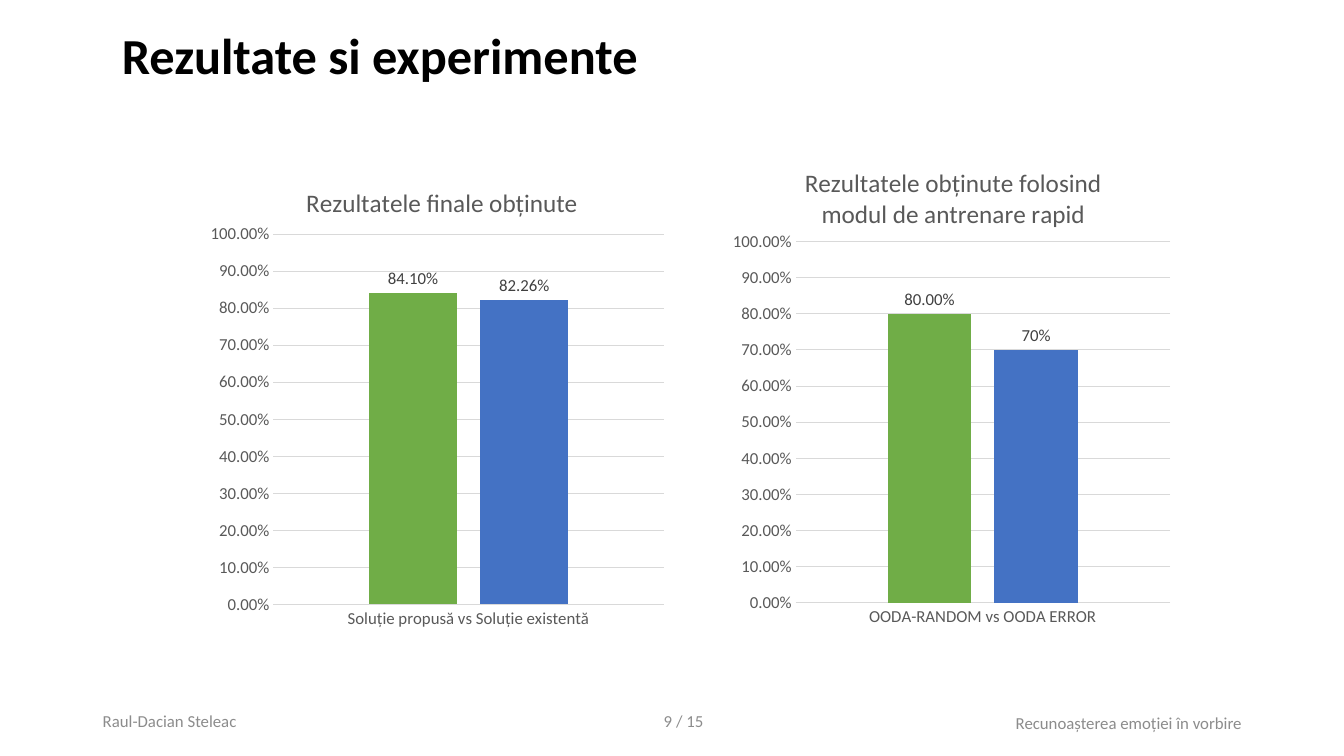
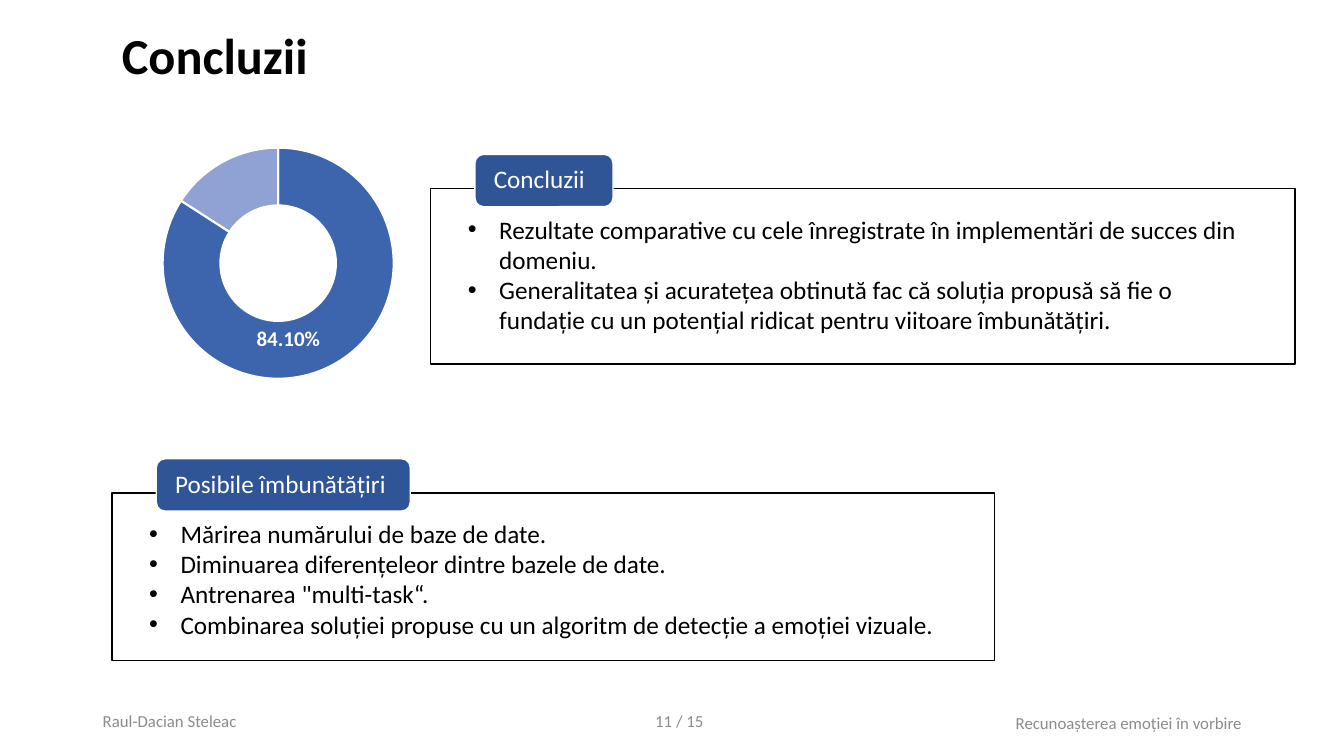
from pptx import Presentation, util as u
from pptx.chart.data import CategoryChartData
from pptx.dml.color import RGBColor
from pptx.enum import chart as ch, shapes, text
from pptx.oxml import parse_xml
from pptx.oxml.ns import nsdecls, qn

FONT = "Calibri"
BLACK, WHITE, GREY, NAVY = "000000", "FFFFFF", "8C8C8C", "2F5597"
AXIS, GRID, LABEL = "595959", "D9D9D9", "404040"
GREEN, BLUE = "70AD47", "4472C4"
LEFT, RIGHT = text.PP_ALIGN.LEFT, text.PP_ALIGN.RIGHT
TOP, MIDDLE = text.MSO_ANCHOR.TOP, text.MSO_ANCHOR.MIDDLE

TITLE_AT = (2.82, 0.61, 14.12, 1.73)
TITLE_FORMAT = {"size": 36, "bold": True}
FOOTER_FORMAT = {"size": 12, "color": GREY}
PAGES = 15
FOOTERS = [
    ("Raul-Dacian Steleac", (2.34, 17.65, 7.62, 1.02), LEFT, MIDDLE),
    ("Recunoașterea emoției în vorbire", (20.12, 17.7, 11.43, 1.02), RIGHT, MIDDLE),
    ("{page}", (16.05, 17.65, 1.14, 1.02), RIGHT, MIDDLE),
    ("/ {pages}", (16.79, 17.78, 1.47, 0.76), LEFT, TOP),
]

BAR_CHARTS = [
    {"title": "Rezultatele finale obținute",
     "category": "Soluție propusă vs Soluție existentă",
     "at": (5.11, 3.96, 11.86, 12.12),
     "title_at": {"x": 0.21, "y": 0.05},
     "plot_at": {"x": 0.15, "y": 0.16, "w": 0.83, "h": 0.77},
     "series": [(0.841, GREEN, "0.00%"), (0.8226, BLUE, "0.00%")]},
    {"title": "Rezultatele obținute folosind modul de antrenare rapid",
     "category": "OODA-RANDOM vs OODA ERROR",
     "at": (18.21, 3.43, 11.51, 12.65),
     "title_at": {"x": 0.17, "y": 0.05},
     "plot_at": {"x": 0.16, "y": 0.21, "w": 0.82, "h": 0.72},
     "series": [(0.8, GREEN, "0.00%"), (0.7, BLUE, "0%")]},
]

RING = {"at": (3.38, 3.38, 7.19, 6.78),
        "plot_at": {"x": 0.1, "y": 0.05, "w": 0.81, "h": 0.86},
        "values": (84.1, 15.9), "colors": ("3C65AE", "90A2D3")}

PANELS = [
    ("Concluzii", 3.48, (10.85, 4.75, 21.79, 4.42), [
        "Rezultate comparative cu cele înregistrate în implementări de succes din domeniu.",
        "Generalitatea și acuratețea obtinută fac că soluția propusă să fie o fundație "
        "cu un potențial ridicat pentru viitoare îmbunătățiri."]),
    ("Posibile îmbunătățiri", 6.4, (2.82, 12.42, 22.25, 4.22), [
        "Mărirea numărului de baze de date.",
        "Diminuarea diferențeleor dintre bazele de date.",
        "Antrenarea \"multi-task“.",
        "Combinarea soluției propuse cu un algoritm de detecție a emoției vizuale."]),
]
TAB_DX, TAB_DY, TAB_HEIGHT = 1.12, -0.86, 1.32
BULLET_INDENT = 0.79


def rgb(value):
    """Turn a hex string into a colour."""
    return RGBColor.from_string(value)


def cm(values):
    """Turn numbers into centimetre lengths."""
    return [u.Cm(v) for v in values]


def style(font, size, color=BLACK, bold=False):
    """Set the look of a font."""
    for name, value in {"name": FONT, "size": u.Pt(size), "bold": bold}.items():
        setattr(font, name, value)
    font.color.rgb = rgb(color)


def paint(fmt, fill, line, width):
    """Set a solid fill and outline."""
    fmt.fill.solid()
    fmt.fill.fore_color.rgb = rgb(fill)
    fmt.line.color.rgb = rgb(line)
    fmt.line.width = u.Pt(width)


def write(tf, lines, fmt, align=LEFT, anchor=MIDDLE, spacing=None, bullets=False, insets=None):
    """Write paragraphs into a text frame."""
    tf.word_wrap = True
    tf.vertical_anchor = anchor
    if insets:
        sides = ("margin_left", "margin_top", "margin_right", "margin_bottom")
        for side, value in zip(sides, cm(insets)):
            setattr(tf, side, value)
    for i, line in enumerate(lines):
        p = tf.add_paragraph() if i else tf.paragraphs[0]
        p.alignment = align
        if spacing:
            p.line_spacing = spacing
        if bullets:
            pPr = p._p.get_or_add_pPr()
            pPr.set("marL", str(u.Cm(BULLET_INDENT)))
            pPr.set("indent", str(-u.Cm(BULLET_INDENT)))
            pPr.append(parse_xml(f'<a:buFont {nsdecls("a")} typeface="Arial"/>'))
            pPr.append(parse_xml(f'<a:buChar {nsdecls("a")} char="•"/>'))
        r = p.add_run()
        r.text = line
        style(r.font, **fmt)


def add_text(s, line, at, fmt, **options):
    """Add a one-line text box."""
    write(s.shapes.add_textbox(*cm(at)).text_frame, [line], fmt, **options)


def add_slide(prs, title, page):
    """Add a slide with its title and footers."""
    s = prs.slides.add_slide(prs.slide_layouts[6])
    add_text(s, title, TITLE_AT, TITLE_FORMAT, spacing=0.9)
    for line, at, align, anchor in FOOTERS:
        add_text(s, line.format(page=page, pages=PAGES), at, FOOTER_FORMAT,
                 align=align, anchor=anchor)
    return s


def place(node, index, at, edge=True, inner=False):
    """Give a chart part a manual layout."""
    for old in node.findall(qn("c:layout")):
        node.remove(old)
    parts = '<c:layoutTarget val="inner"/>' if inner else ""
    if edge:
        parts += '<c:xMode val="edge"/><c:yMode val="edge"/>'
    parts += "".join(f'<c:{key} val="{value}"/>' for key, value in at.items())
    node.insert(index, parse_xml(
        f'<c:layout {nsdecls("c")}><c:manualLayout>{parts}</c:manualLayout></c:layout>'))


def add_chart(s, kind, at, plot_at, categories, series):
    """Add a chart with a fixed plot area."""
    data = CategoryChartData()
    data.categories = categories
    for i, values in enumerate(series, 1):
        data.add_series(f"Series {i}", values)
    chart = s.shapes.add_chart(kind, *cm(at), data).chart
    chart.has_legend = chart.has_title = False
    style(chart.font, 10)
    place(chart.element.xpath(".//c:plotArea")[0], 0, plot_at, inner=True)
    return chart


def add_bars(s, spec):
    """Add a titled column chart in percent."""
    chart = add_chart(s, ch.XL_CHART_TYPE.COLUMN_CLUSTERED, spec["at"], spec["plot_at"],
                      [spec["category"]], [[value] for value, _, _ in spec["series"]])
    tf = chart.chart_title.text_frame
    tf.text = spec["title"]
    style(tf.paragraphs[0].runs[0].font, 18, AXIS)
    chart.chart_title.include_in_layout = False
    place(chart.element.xpath("./c:chart/c:title")[0], 1, spec["title_at"])

    for axis in (chart.category_axis, chart.value_axis):
        axis.major_tick_mark = axis.minor_tick_mark = ch.XL_TICK_MARK.NONE
        style(axis.tick_labels.font, 12, AXIS)
    values = chart.value_axis
    values.minimum_scale, values.maximum_scale, values.major_unit = 0, 1, 0.1
    values.tick_labels.number_format = "0.00%"
    values.tick_labels.number_format_is_linked = False
    values.format.line.fill.background()
    for line in (chart.category_axis.format.line, values.major_gridlines.format.line):
        line.color.rgb = rgb(GRID)
        line.width = u.Pt(0.75)

    plot = chart.plots[0]
    plot.vary_by_categories = False
    plot.gap_width, plot.overlap = 219, -27
    for bar, (_, color, number_format) in zip(plot.series, spec["series"]):
        bar.format.fill.solid()
        bar.format.fill.fore_color.rgb = rgb(color)
        labels = bar.data_labels
        labels.show_value = True
        labels.position = ch.XL_LABEL_POSITION.OUTSIDE_END
        labels.number_format = number_format
        labels.number_format_is_linked = False
        style(labels.font, 12, LABEL)


def add_ring(s, spec):
    """Add a doughnut that labels only its first slice."""
    chart = add_chart(s, ch.XL_CHART_TYPE.DOUGHNUT, spec["at"], spec["plot_at"],
                      ["1", "2"], [spec["values"]])
    series = chart.plots[0].series[0]
    for i, color in enumerate(spec["colors"]):
        paint(series.points[i].format, color, WHITE, 1.5)
    labels = series.data_labels
    labels.show_percentage, labels.show_value = True, False
    labels.number_format = "0.00%"
    labels.number_format_is_linked = False
    style(labels.font, 12, LABEL)
    for i in range(2):
        style(series.points[i].data_label.font, 15, WHITE, True)
    shown, hidden = chart.element.xpath(".//c:ser/c:dLbls/c:dLbl")
    shown.find(qn("c:showVal")).set("val", "0")
    shown.find(qn("c:showPercent")).set("val", "1")
    shown.insert(1, parse_xml(
        f'<c:numFmt {nsdecls("c")} formatCode="0.00%" sourceLinked="0"/>'))
    place(shown, 1, {"x": -0.11, "y": 0}, edge=False)
    for child in list(hidden)[1:]:
        hidden.remove(child)
    hidden.append(parse_xml(f'<c:delete {nsdecls("c")} val="1"/>'))


def add_panel(s, heading, tab_width, at, lines):
    """Add a bulleted box with a heading tab on its upper edge."""
    group = s.shapes.add_group_shape()
    tab_at = (at[0] + TAB_DX, at[1] + TAB_DY, tab_width, TAB_HEIGHT)
    box = group.shapes.add_shape(shapes.MSO_SHAPE.RECTANGLE, *cm(at))
    tab = group.shapes.add_shape(shapes.MSO_SHAPE.ROUNDED_RECTANGLE, *cm(tab_at))
    for sp, fill, line in ((box, WHITE, BLACK), (tab, NAVY, WHITE)):
        sp.shadow.inherit = False
        paint(sp, fill, line, 1)
    write(box.text_frame, lines, {"size": 18}, anchor=TOP, bullets=True,
          insets=(0.94, 0.64, 0.94, 0.3))
    write(tab.text_frame, [heading], {"size": 18, "color": WHITE}, spacing=0.9,
          insets=(0.41, 0.08, 0.41, 0.08))


def main():
    """Build the slides and save them."""
    prs = Presentation()
    prs.slide_width, prs.slide_height = cm((33.87, 19.05))
    s = add_slide(prs, "Rezultate si experimente", 9)
    for spec in BAR_CHARTS:
        add_bars(s, spec)
    s = add_slide(prs, "Concluzii", 11)
    add_ring(s, RING)
    for panel in PANELS:
        add_panel(s, *panel)
    prs.save("out.pptx")


if __name__ == "__main__":
    main()
